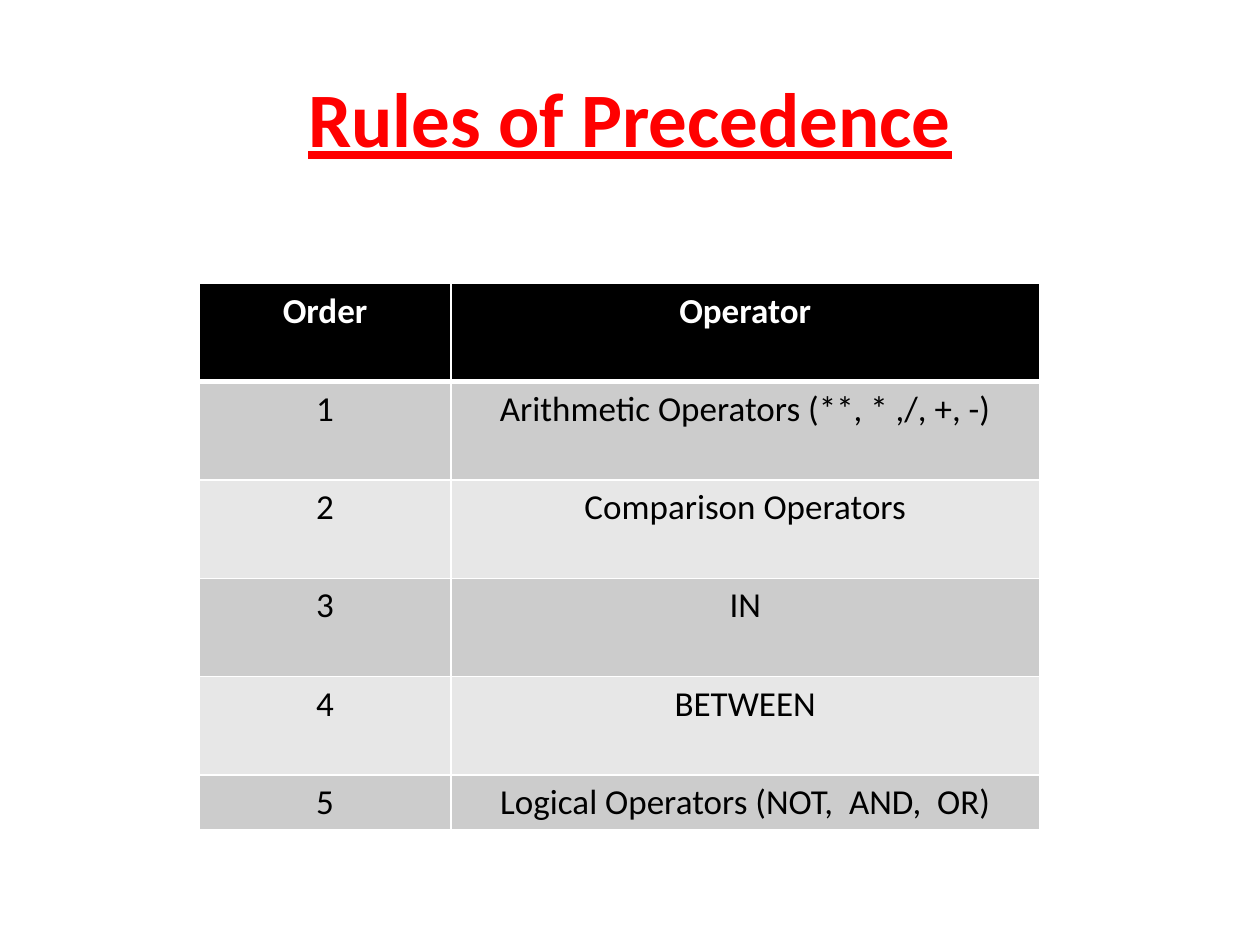
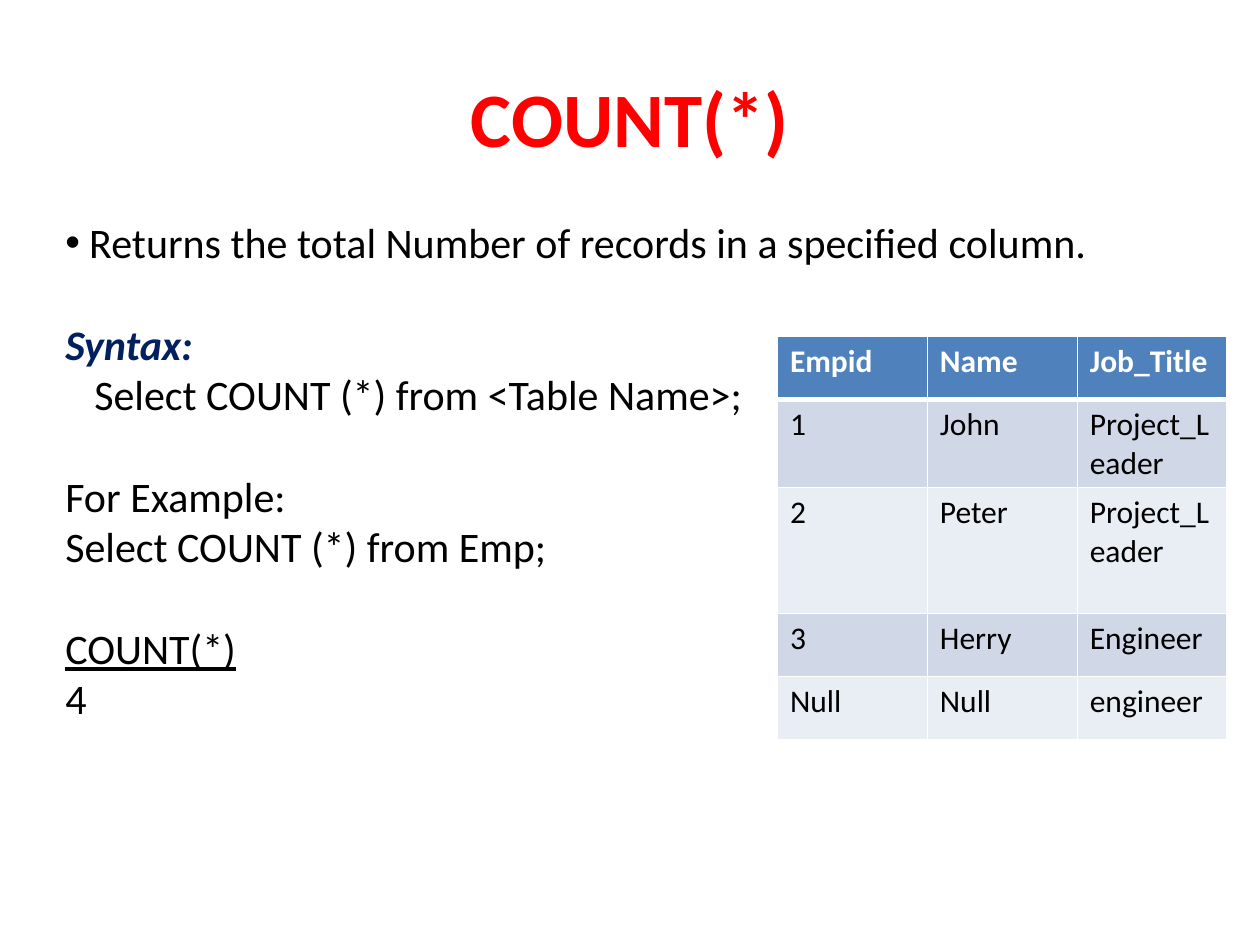
from lxml import etree
from pptx import Presentation
from pptx.dml.color import RGBColor
from pptx.enum.text import MSO_ANCHOR, PP_ALIGN
from pptx.oxml.ns import qn
from pptx.util import Inches, Pt

LEFT, CENTER = PP_ALIGN.LEFT, PP_ALIGN.CENTER
MIDDLE = MSO_ANCHOR.MIDDLE

FONT = "Calibri"
WHITE = RGBColor(0xFF, 0xFF, 0xFF)
BLACK = RGBColor(0x00, 0x00, 0x00)
RED = RGBColor(0xFF, 0x00, 0x00)
NAVY = RGBColor(0x00, 0x20, 0x60)
# Table themes: header, odd rows, even rows
GREY_THEME = (BLACK, RGBColor(0xCC, 0xCC, 0xCC), RGBColor(0xE7, 0xE7, 0xE7))
BLUE_THEME = (RGBColor(0x4F, 0x81, 0xBD), RGBColor(0xD0, 0xD8, 0xE8),
              RGBColor(0xE9, 0xED, 0xF4))

TITLE_BOX = (0.5, 0.3, 9, 1.25)
LINE_GAP = 29.3  # one line of 24 pt text, in points

PRECEDENCE = [
    ("Order", "Operator"),
    ("1", "Arithmetic Operators (**, * ,/, +, -)"),
    ("2", "Comparison Operators"),
    ("3", "IN"),
    ("4", "BETWEEN"),
    ("5", "Logical Operators (NOT,  AND,  OR)"),
]
EMPLOYEES = [
    ("Empid", "Name", "Job_Title"),
    ("1", "John", "Project_Leader"),
    ("2", "Peter", "Project_Leader"),
    ("3", "Herry", "Engineer"),
    ("Null", "Null", "engineer"),
]
COUNT_LINES = [
    ("Returns the total Number of records in a specified column.",
     dict(bullet="•", margin=0.19)),
    ("Syntax:", dict(color=NAVY, bold=True, italic=True, before=LINE_GAP)),
    ("Select COUNT (*) from <Table Name>;", dict(margin=0.23)),
    ("For Example:", dict(before=LINE_GAP)),
    ("Select COUNT (*) from Emp;", {}),
    ("COUNT(*)", dict(underline=True, before=LINE_GAP)),
    ("4", {}),
]


def write(p, text, size=24, color=BLACK, bold=False, italic=False,
          underline=False, align=LEFT, before=0, margin=0, bullet=None):
    """Fill one paragraph with formatted text."""
    pPr = p._p.get_or_add_pPr()
    pPr.set("marL", str(Inches(margin)))
    pPr.set("indent", str(-Inches(margin) if bullet else 0))
    if bullet:
        etree.SubElement(pPr, qn("a:buFont"), typeface="Arial")
        etree.SubElement(pPr, qn("a:buChar"), char=bullet)
    p.alignment = align
    p.space_before = Pt(before)
    r = p.add_run()
    r.text = text
    r.font.name, r.font.size = FONT, Pt(size)
    r.font.bold, r.font.italic, r.font.underline = bold, italic, underline
    r.font.color.rgb = color


def add_text(s, box, lines, anchor=None):
    """Add a text box with one paragraph per (text, format) pair."""
    tf = s.shapes.add_textbox(*map(Inches, box)).text_frame
    tf.word_wrap = True
    if anchor is not None:
        tf.vertical_anchor = anchor
    for i, (text, fmt) in enumerate(lines):
        write(tf.add_paragraph() if i else tf.paragraphs[0], text, **fmt)


def add_title(s, text, underline=False):
    fmt = dict(size=44, color=RED, bold=True, underline=underline, align=CENTER)
    add_text(s, TITLE_BOX, [(text, fmt)], MIDDLE)


def set_borders(cell, bottom):
    """Draw white cell borders, 1 pt except where the bottom differs."""
    tcPr = cell._tc.get_or_add_tcPr()
    for side, width in (("L", 1), ("R", 1), ("T", 1), ("B", bottom)):
        ln = etree.SubElement(tcPr, qn("a:ln" + side), w=str(Pt(width)))
        fill = etree.SubElement(ln, qn("a:solidFill"))
        etree.SubElement(fill, qn("a:srgbClr"), val=str(WHITE))


def add_table(s, left, top, col_widths, row_heights, rows, theme, size, align=LEFT):
    """Add a banded table with a bold header row."""
    header, odd, even = theme
    table = s.shapes.add_table(
        len(rows), len(col_widths), Inches(left), Inches(top),
        Inches(sum(col_widths)), Inches(sum(row_heights))).table
    for col, width in zip(table.columns, col_widths):
        col.width = Inches(width)
    for i, (values, height) in enumerate(zip(rows, row_heights)):
        table.rows[i].height = Inches(height)
        is_header = i == 0
        for cell, value in zip(table.rows[i].cells, values):
            set_borders(cell, bottom=3 if is_header else 1)
            cell.fill.solid()
            cell.fill.fore_color.rgb = header if is_header else odd if i % 2 else even
            write(cell.text_frame.paragraphs[0], value, size=size, bold=is_header,
                  color=WHITE if is_header else BLACK, align=align)


def precedence_slide(s):
    add_title(s, "Rules of Precedence", underline=True)
    add_table(s, 1.58, 2.25, (2, 4.67), [0.78] * 5 + [0.43],
              PRECEDENCE, GREY_THEME, 20, CENTER)


def count_slide(s):
    add_title(s, "COUNT(*)")
    add_text(s, (0.42, 1.67, 9.17, 4.54), COUNT_LINES)
    add_table(s, 6.17, 2.67, [1.19] * 3, (0.5, 0.7, 1, 0.5, 0.5),
              EMPLOYEES, BLUE_THEME, 18)


def main():
    prs = Presentation()
    prs.slide_width, prs.slide_height = Inches(10), Inches(7.5)
    blank = prs.slide_layouts[6]
    for build in (precedence_slide, count_slide):
        build(prs.slides.add_slide(blank))
    prs.save("out.pptx")


if __name__ == "__main__":
    main()
